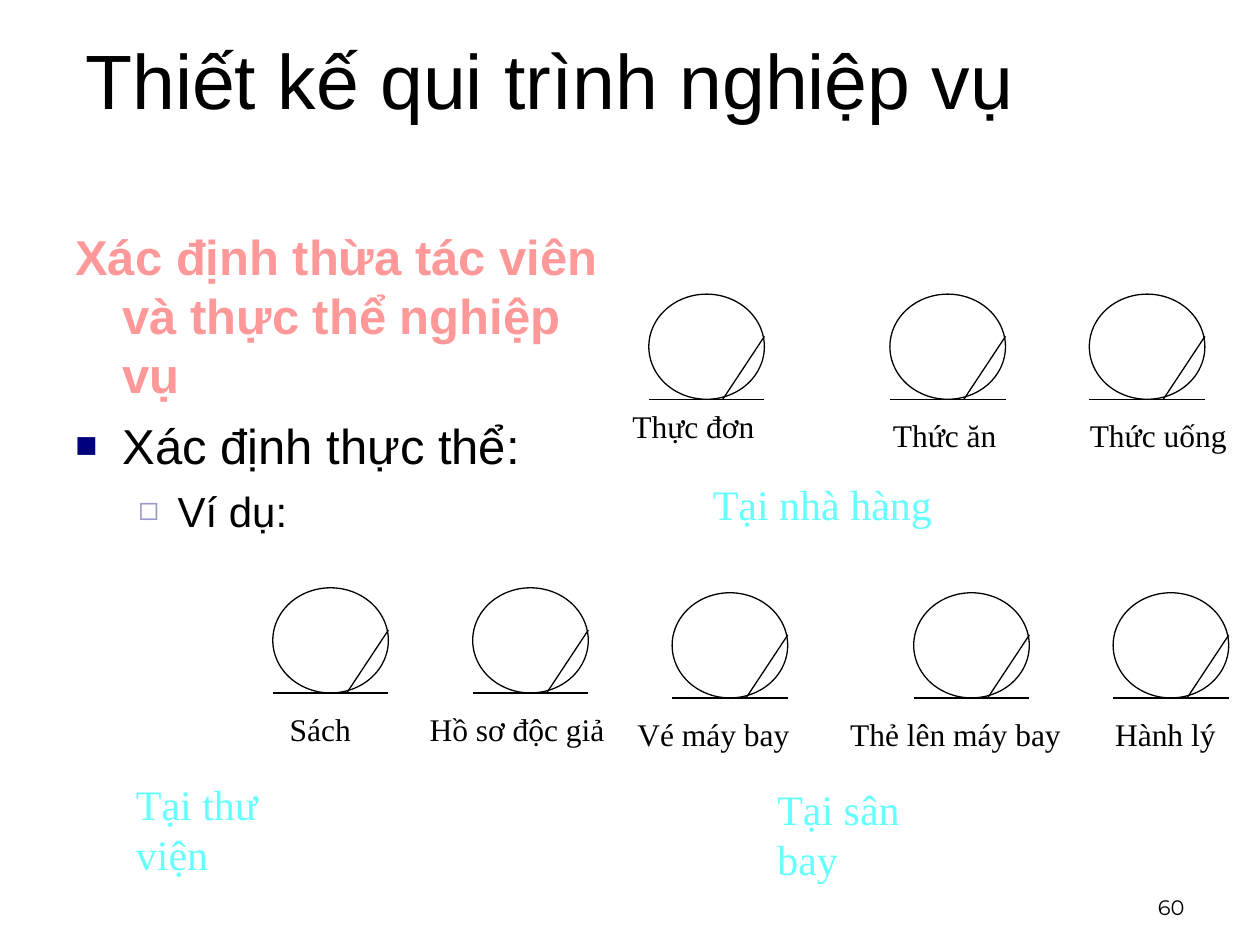
from lxml.etree import SubElement
from pptx import Presentation
from pptx.dml.color import RGBColor
from pptx.enum.shapes import MSO_CONNECTOR, MSO_SHAPE
from pptx.enum.text import MSO_ANCHOR, MSO_AUTO_SIZE, PP_ALIGN
from pptx.oxml.ns import qn
from pptx.util import Cm, Pt

BLACK, PINK, AQUA = "000000", "FF9999", "66FFFF"
SERIF = "Times New Roman"
WIDE, HIGH = 2.33, 2.12


def tint(code):
    return RGBColor.from_string(code)


def apply(target, values):
    for name, value in values.items():
        setattr(target, name, value)


class Deck:
    """Hold the style and the current slide, and draw each kind of element."""

    def __init__(self):
        self.file = Presentation()
        apply(self.file, {"slide_width": Cm(25.4), "slide_height": Cm(19.05)})
        self.slide = self.file.slides.add_slide(self.file.slide_layouts[6])
        self.ink = BLACK
        self.pen = Pt(0.75)

    def frame(self, left, top, width, height, **form):
        box = self.slide.shapes.add_textbox(Cm(left), Cm(top), Cm(width), Cm(height))
        apply(box.text_frame, {"word_wrap": True, **form})
        return box.text_frame

    def phrase(self, par, text, size, font="Arial", color=None, bold=False, **form):
        run = par.add_run()
        run.text = text
        apply(run.font, {"size": Pt(size), "name": font, "bold": bold})
        run.font.color.rgb = tint(color or self.ink)
        apply(par, form)

    def label(self, text, left, top, width, size=18, color=None):
        frame = self.frame(left, top, width, size * 0.055, word_wrap=False,
                           auto_size=MSO_AUTO_SIZE.SHAPE_TO_FIT_TEXT)
        self.phrase(frame.paragraphs[0], text, size, SERIF, color)

    def indent(self, par, left, hang, mark=None, color=None, scale=100):
        props = par._p.get_or_add_pPr()
        props.set("marL", str(Cm(left)))
        props.set("indent", str(-Cm(hang)))
        if mark:
            hue = SubElement(props, qn("a:buClr"))
            SubElement(hue, qn("a:srgbClr"), val=color)
            SubElement(props, qn("a:buSzPct"), val=str(scale * 1000))
            SubElement(props, qn("a:buFont"), typeface="Arial")
            SubElement(props, qn("a:buChar"), char=mark)

    def line(self, group, *ends):
        link = group.shapes.add_connector(MSO_CONNECTOR.STRAIGHT, *map(Cm, ends))
        link.line.color.rgb = tint(self.ink)
        link.line.width = self.pen
        SubElement(link._element.spPr, qn("a:effectLst"))

    def icon(self, left, top):
        group = self.slide.shapes.add_group_shape()
        ring = group.shapes.add_shape(MSO_SHAPE.OVAL, Cm(left), Cm(top), Cm(WIDE), Cm(HIGH))
        ring.shadow.inherit = False
        ring.fill.background()
        ring.line.color.rgb = tint(self.ink)
        ring.line.width = self.pen
        right, base = left + WIDE, top + HIGH
        self.line(group, left, base, right, base)
        self.line(group, right, base - 1.27, right - 0.84, base)


def main():
    deck = Deck()

    title = deck.frame(1.47, 0, 22.86, 3.18, vertical_anchor=MSO_ANCHOR.MIDDLE)
    deck.phrase(title.paragraphs[0], "Thiết kế qui trình nghiệp vụ", 44)

    body = deck.frame(1.27, 4.45, 11.23, 6.99)
    points = [
        ("Xác định thừa tác viên và thực thể nghiệp vụ", 28, PINK, True, 7, (0.95, 0.95)),
        ("Xác định thực thể:", 28, BLACK, False, 7, (0.95, 0.95, "■", "00007D", 75)),
        ("Ví dụ:", 24, BLACK, False, 6, (2.06, 0.79, "◻", "9999CC", 80)),
    ]
    for rank, (text, size, color, bold, space, inset) in enumerate(points):
        par = body.add_paragraph() if rank else body.paragraphs[0]
        deck.phrase(par, text, size, color=color, bold=bold,
                    space_before=Pt(space), level=rank // 2)
        deck.indent(par, *inset)

    page = deck.frame(18.21, 17.35, 5.92, 1.32, vertical_anchor=MSO_ANCHOR.BOTTOM)
    deck.phrase(page.paragraphs[0], "60", 12, "Montserrat", alignment=PP_ALIGN.RIGHT)

    scenes = [
        (("Tại nhà hàng", 14.12, 9.53, 4.93), 5.93, [
            (13.08, "Thực đơn", 12.5, 2.16, 3.38),
            (17.94, "Thức ăn", 17.75, 2.33, 2.97),
            (21.96, "Thức uống", 21.72, 2.33, 3.73)]),
        (("Tại sân bay", 15.42, 15.67, 4.39), 11.95, [
            (13.55, "Vé máy bay", 12.6, 2.33, 4.01),
            (18.42, "Thẻ lên máy bay", 16.89, 2.33, 5.49),
            (22.44, "Hành lý", 22.23, 2.33, 2.9)]),
        (("Tại thư viện", 2.49, 15.57, 4.62), 11.85, [
            (5.5, "Sách", 5.59, 2.33, 1.93),
            (9.53, "Hồ sơ độc giả", 8.41, 2.33, 4.52)]),
    ]
    for place, top, things in scenes:
        deck.label(*place, size=24, color=AQUA)
        for left, text, start, drop, width in things:
            deck.icon(left, top)
            deck.label(text, start, top + drop, width)

    deck.file.save("out.pptx")


if __name__ == "__main__":
    main()
